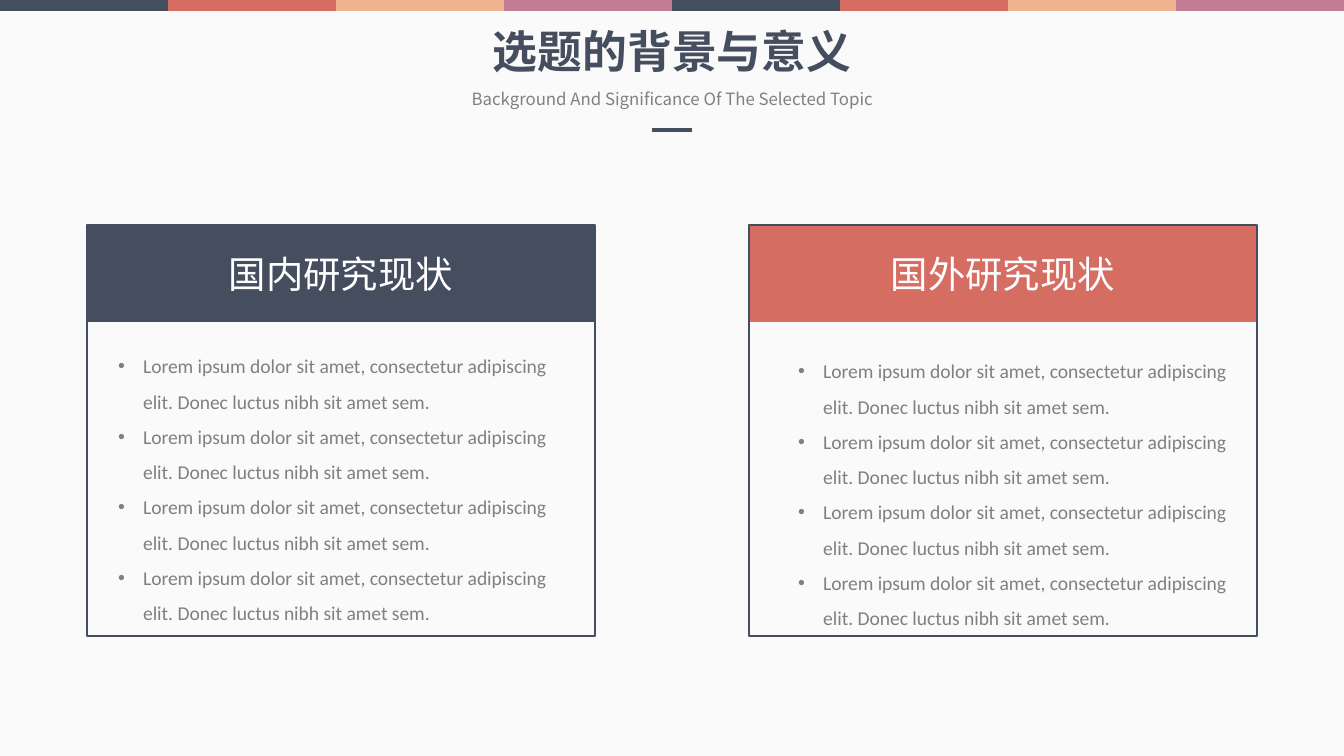
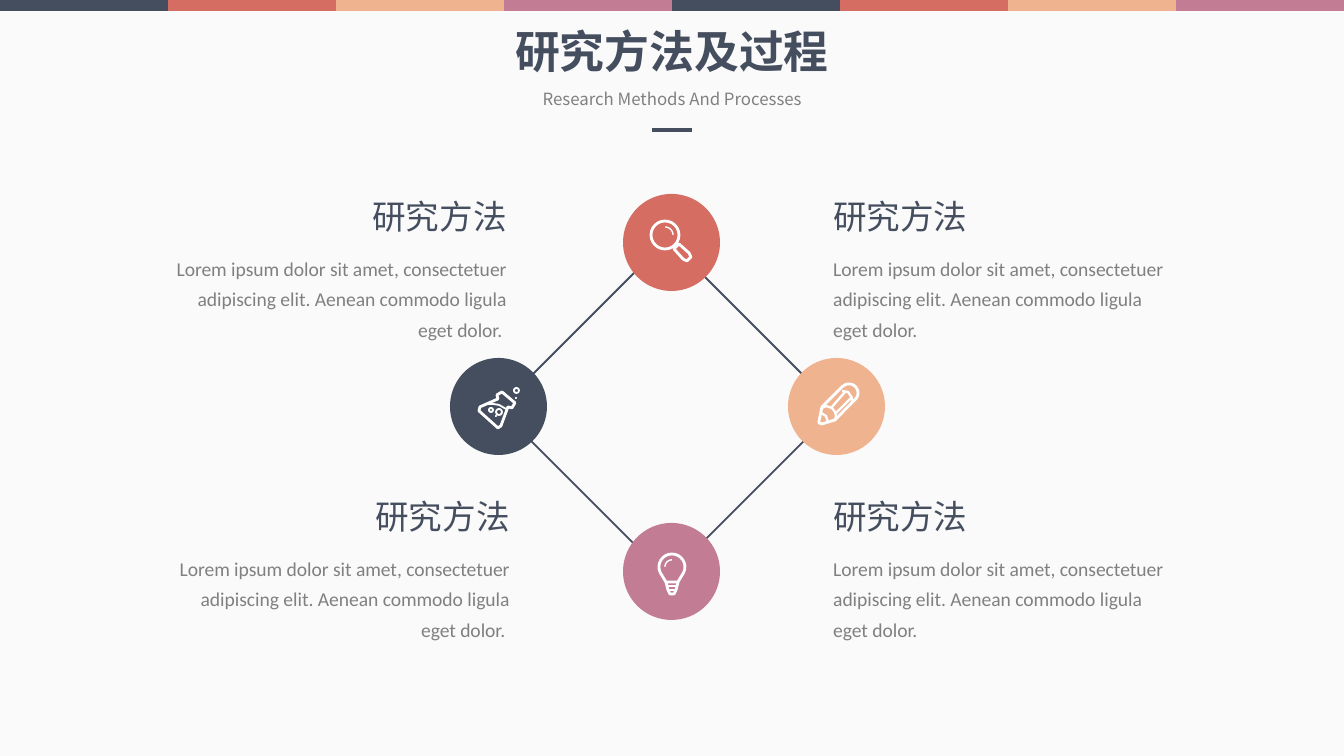
from math import cos, radians, sin

from lxml.etree import SubElement
from pptx import Presentation
from pptx.dml.color import RGBColor
from pptx.enum.shapes import MSO_CONNECTOR, MSO_SHAPE
from pptx.enum.text import MSO_ANCHOR, MSO_AUTO_SIZE, PP_ALIGN
from pptx.oxml.ns import qn
from pptx.util import Emu, Pt

WIDTH, HEIGHT = 1344, 756
SCALE = 9144000 / WIDTH
NAVY, CORAL, PEACH, MAUVE = "454E5F", "D56D62", "EFB38F", "C27C94"
GREY, WHITE, PAPER = "808080", "FFFFFF", "FAFAFA"
CJK, LATIN = "Noto Sans CJK SC", "Calibri"
FINDING = "Lorem ipsum dolor sit amet, consectetur adipiscing elit. Donec luctus nibh sit amet sem."
METHOD = "Lorem ipsum dolor sit amet, consectetuer adipiscing elit. Aenean commodo ligula eget dolor."


def px(value):
    return Emu(round(value * SCALE))


def rgb(color):
    return RGBColor.from_string(color)


def style(shape, fill=None, line=None, weight=1):
    shape.shadow.inherit = False
    if fill:
        shape.fill.solid()
        shape.fill.fore_color.rgb = rgb(fill)
    else:
        shape.fill.background()
    if line:
        shape.line.color.rgb = rgb(line)
        shape.line.width = Pt(weight)
    else:
        shape.line.fill.background()
    return shape


def add_preset(slide, kind, box, **look):
    return style(slide.shapes.add_shape(kind, *map(px, box)), **look)


def write(paragraph, text, size, color, font=CJK, align=PP_ALIGN.LEFT, bold=False):
    paragraph.alignment = align
    run = paragraph.add_run()
    run.text = text
    run.font.size = Pt(size)
    run.font.bold = bold
    run.font.name = font
    run.font.color.rgb = rgb(color)
    SubElement(run.font._element, qn("a:ea"), typeface=font)


def add_text(slide, box, wrap=True):
    frame = slide.shapes.add_textbox(*map(px, box)).text_frame
    frame.word_wrap = wrap
    return frame


def add_bullet(paragraph):
    properties = paragraph._p.get_or_add_pPr()
    properties.set("marL", str(px(25)))
    properties.set("indent", str(-px(25)))
    SubElement(properties, qn("a:buFont"), typeface="Arial")
    SubElement(properties, qn("a:buChar"), char="•")


def add_master_bands(prs, slide):
    master = prs.slide_master
    master.background.fill.solid()
    master.background.fill.fore_color.rgb = rgb(PAPER)
    step = WIDTH // 8
    for i, color in enumerate([NAVY, CORAL, PEACH, MAUVE] * 2):
        band = add_preset(slide, MSO_SHAPE.RECTANGLE, (i * step, 0, step, 11), fill=color)
        band.element.nvSpPr.cNvPr.set("id", str(100 + i))
        master.shapes.element.append(band.element)


def add_heading(slide, title, subtitle, subtitle_width):
    center = WIDTH // 2
    title_width = 45 * len(title) + 28
    heading = slide.shapes.title
    heading.left, heading.top = px(center - title_width / 2), px(17)
    heading.width, heading.height = px(title_width), px(67)
    frame = heading.text_frame
    frame.auto_size = MSO_AUTO_SIZE.NONE
    frame.word_wrap = False
    frame.vertical_anchor = MSO_ANCHOR.TOP
    write(frame.paragraphs[0], title, 24, NAVY, align=PP_ALIGN.CENTER, bold=True)

    box = (center - subtitle_width // 2, 82, subtitle_width, 34)
    frame = add_text(slide, box, wrap=False)
    write(frame.paragraphs[0], subtitle, 9, GREY, align=PP_ALIGN.CENTER)

    rule = slide.shapes.add_connector(
        MSO_CONNECTOR.STRAIGHT, px(center - 20), px(130), px(center + 20), px(130))
    rule.line.color.rgb = rgb(NAVY)
    rule.line.width = Pt(2.25)
    SubElement(rule._element.spPr, qn("a:effectLst"))


def add_status_panel(slide, box, title, color, list_offset):
    left, top, width, height = box
    header = add_preset(slide, MSO_SHAPE.RECTANGLE, (left, top, width, 97), fill=color)
    header.text_frame.vertical_anchor = MSO_ANCHOR.MIDDLE
    write(header.text_frame.paragraphs[0], title, 20, WHITE, align=PP_ALIGN.CENTER)
    add_preset(slide, MSO_SHAPE.RECTANGLE, box, line=NAVY)

    dx, dy = list_offset
    frame = add_text(slide, (left + dx, top + dy, 472, 294))
    for i in range(4):
        paragraph = frame.add_paragraph() if i else frame.paragraphs[0]
        paragraph.line_spacing = 1.5
        write(paragraph, FINDING, 10.5, GREY, LATIN)
        add_bullet(paragraph)


def add_method(slide, left, top, align):
    width, title_width = 371, 198
    right_aligned = align == PP_ALIGN.RIGHT
    title_left = left + width - title_width if right_aligned else left
    title = add_text(slide, (title_left, top, title_width, 54))
    write(title.paragraphs[0], "研究方法", 18, NAVY, align=align)
    body = add_text(slide, (left, top + 54, width, 103)).paragraphs[0]
    body.line_spacing = 1.3
    body.space_before = Pt(6)
    write(body, METHOD + " " if right_aligned else METHOD, 10.5, GREY, LATIN, align)


def arc(cx, cy, radius, start, end, steps=16):
    angles = [radians(start + (end - start) * i / steps) for i in range(steps + 1)]
    return [(cx + radius * cos(a), cy + radius * sin(a)) for a in angles]


def add_stroke(slide, origin, points, close=False, weight=1.5):
    x, y = origin
    first, *rest = [(px(x + dx), px(y + dy)) for dx, dy in points]
    builder = slide.shapes.build_freeform(*first)
    builder.add_line_segments(rest, close=close)
    style(builder.convert_to_shape(), line=WHITE, weight=weight)


def add_circle(slide, origin, box, **look):
    x, y, size = box
    add_preset(slide, MSO_SHAPE.OVAL, (origin[0] + x, origin[1] + y, size, size), **look)


def add_magnifier(slide, origin):
    add_circle(slide, origin, (1, 1, 28), line=WHITE, weight=1.5)
    add_stroke(slide, origin, arc(15, 15, 8, 270, 360), weight=0.75)
    handle = [(24, 29), (33, 39), (37, 41), (41, 37), (39, 33), (29, 24)]
    add_stroke(slide, origin, handle, close=True)


def add_flask(slide, origin):
    glass = [(20, 12), (19, 8), (24, 5), (37, 16), (34, 21), (30, 20), (23, 39),
             (20, 41), (1, 24), (2, 20)]
    add_stroke(slide, origin, glass, close=True)
    add_stroke(slide, origin, [(9, 17), (15, 17), (21, 18), (28, 22)], weight=1)
    for bubble in [(18, 22, 6), (36, 1, 5), (11, 21, 4)]:
        add_circle(slide, origin, bubble, line=WHITE)
    for drop in [(17, 28, 2), (37, 10, 2)]:
        add_circle(slide, origin, drop, fill=WHITE)


def add_pencil(slide, origin):
    outline = [(1, 38), (4, 24), (25, 3), *arc(31, 10, 9, 230, 400), (17, 37), (4, 41), (1, 40)]
    add_stroke(slide, origin, outline, close=True)
    collar = [(4, 25), (8, 23), (14, 25), (17, 29), (18, 33), (17, 37)]
    ferrule = [(24, 8), (30, 9), (34, 15), (34, 20)]
    lead = [(3, 30), (8, 33), (10, 39)]
    edges = [[(14, 24), (27, 9)], [(18, 30), (33, 15)]]
    for detail in [collar, ferrule, lead, *edges]:
        add_stroke(slide, origin, detail, weight=1.25)


def add_bulb(slide, origin):
    add_stroke(slide, origin, [(8, 29), *arc(14, 14, 13, 155, 385), (20, 29)], close=True)
    add_stroke(slide, origin, [(8, 29), (10, 37), (12, 41), (16, 41), (18, 37), (20, 29)])
    for left, right, y in [(9, 19, 33), (10, 18, 37)]:
        add_stroke(slide, origin, [(left, y), (right, y)])
    add_stroke(slide, origin, arc(14, 14, 7, 180, 270), weight=0.75)


def add_cycle(slide, box):
    left, top = box[:2]
    ring = add_preset(slide, MSO_SHAPE.RECTANGLE, (left + 98, top + 95, 239, 239), line=NAVY)
    ring.rotation = 45
    stations = [
        (173, 0, CORAL, add_magnifier, (27, 26)),
        (0, 164, NAVY, add_flask, (28, 29)),
        (338, 164, PEACH, add_pencil, (30, 25)),
        (173, 329, MAUVE, add_bulb, (35, 30)),
    ]
    for x, y, color, add_icon, (dx, dy) in stations:
        add_preset(slide, MSO_SHAPE.OVAL, (left + x, top + y, 97, 97), fill=color)
        add_icon(slide, (left + x + dx, top + y + dy))


def build_background(slide):
    add_heading(slide, "选题的背景与意义", "Background And Significance Of The Selected Topic", 454)
    add_status_panel(slide, (87, 225, 508, 411), "国内研究现状", NAVY, (18, 111))
    add_status_panel(slide, (749, 225, 508, 411), "国外研究现状", CORAL, (36, 116))


def build_methods(slide):
    add_heading(slide, "研究方法及过程", "Research Methods And Processes", 302)
    add_cycle(slide, (450, 194, 435, 426))
    for top, left in [(189, 149), (489, 152)]:
        add_method(slide, left, top, PP_ALIGN.RIGHT)
        add_method(slide, 820, top, PP_ALIGN.LEFT)


def main():
    prs = Presentation()
    prs.slide_width, prs.slide_height = px(WIDTH), px(HEIGHT)
    title_only = prs.slide_layouts[5]
    background = prs.slides.add_slide(title_only)
    add_master_bands(prs, background)
    build_background(background)
    build_methods(prs.slides.add_slide(title_only))
    prs.save("out.pptx")


if __name__ == "__main__":
    main()
